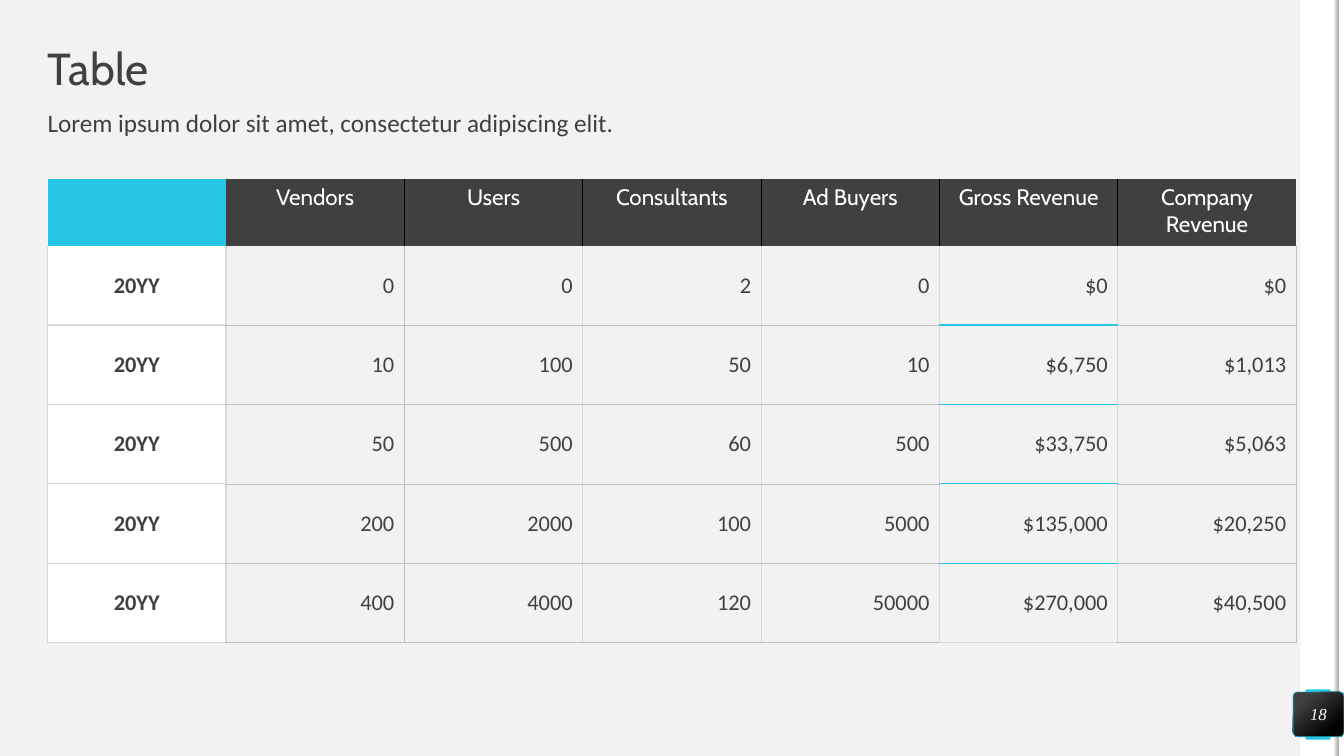
from lxml import etree
from pptx import Presentation
from pptx.dml.color import RGBColor
from pptx.enum.shapes import MSO_SHAPE
from pptx.enum.text import MSO_ANCHOR, PP_ALIGN
from pptx.oxml.ns import qn
from pptx.util import Pt

# Content
TITLE = "Table"
SUBTITLE = "Lorem ipsum dolor sit amet, consectetur adipiscing elit."
PAGE_NUMBER = "18"
ROWS = [
    ["", "Vendors", "Users", "Consultants", "Ad Buyers", "Gross Revenue", "Company Revenue"],
    ["20YY", "0", "0", "2", "0", "$0", "$0"],
    ["20YY", "10", "100", "50", "10", "$6,750", "$1,013"],
    ["20YY", "50", "500", "60", "500", "$33,750", "$5,063"],
    ["20YY", "200", "2000", "100", "5000", "$135,000", "$20,250"],
    ["20YY", "400", "4000", "120", "50000", "$270,000", "$40,500"],
]

# Style
WHITE = RGBColor(0xFF, 0xFF, 0xFF)
BLACK = RGBColor(0x00, 0x00, 0x00)
DARK = RGBColor(0x40, 0x40, 0x40)
PALE = RGBColor(0xF2, 0xF2, 0xF2)
SHADE = RGBColor(0xA6, 0xA6, 0xA6)
CYAN = RGBColor(0x25, 0xC6, 0xE3)
LIGHT_LINE = (RGBColor(0xD9, 0xD9, 0xD9), 1)
THIN_LINE = (RGBColor(0xBF, 0xBF, 0xBF), 0.25)
CYAN_LINE = (CYAN, 1)
BLACK_LINE = (BLACK, 1)
HEAD_FONT, BODY_FONT, NUMBER_FONT = "Cabin", "Calibri", "Times New Roman"
RECT, ROUNDED = MSO_SHAPE.RECTANGLE, MSO_SHAPE.ROUNDED_RECTANGLE
LEFT, CENTER, RIGHT = PP_ALIGN.LEFT, PP_ALIGN.CENTER, PP_ALIGN.RIGHT
TOP, MIDDLE = MSO_ANCHOR.TOP, MSO_ANCHOR.MIDDLE

# Layout in points
PAGE_WIDTH, PAGE_HEIGHT = 960, 540
MARGIN, CONTENT_WIDTH = 34, 892
TABLE_TOP, HEADER_HEIGHT, ROW_HEIGHT = 127.5, 48, 56.7
REVENUE = 5  # column with cyan rules
LAST_ROW, LAST_COLUMN = len(ROWS) - 1, len(ROWS[0]) - 1


def style_paragraph(para, font_name, size, color, align=LEFT, bold=False, italic=False):
    para.alignment = align
    font = para.font
    font.name, font.size, font.bold, font.italic = font_name, Pt(size), bold, italic
    font.color.rgb = color


def clear_margins(frame):
    frame.margin_left = frame.margin_right = frame.margin_top = frame.margin_bottom = 0


def add_text(page, text, top, height, font_name, size, anchor):
    box = page.shapes.add_textbox(Pt(MARGIN), Pt(top), Pt(CONTENT_WIDTH), Pt(height))
    frame = box.text_frame
    frame.word_wrap = True
    frame.vertical_anchor = anchor
    clear_margins(frame)
    para = frame.paragraphs[0]
    para.text = text
    para.line_spacing = 0.9
    style_paragraph(para, font_name, size, DARK)
    return para


def add_block(page, kind, left, top, width, height, color=None, corner=None):
    block = page.shapes.add_shape(kind, Pt(left), Pt(top), Pt(width), Pt(height))
    block.shadow.inherit = False
    block.line.fill.background()
    if color is not None:
        block.fill.solid()
        block.fill.fore_color.rgb = color
    if corner is not None:
        block.adjustments[0] = corner
    return block


def set_gradient(block, angle, stops):
    block.fill.gradient()
    block.fill.gradient_angle = angle
    for stop, (position, color) in zip(block.fill.gradient_stops, stops):
        stop.position = position
        stop.color.rgb = color


def vertical_line(row, edge):
    """Line at a column edge, counted from 0 at the table's left."""
    if row == 0:
        return BLACK_LINE if 2 <= edge <= LAST_COLUMN else None
    return THIN_LINE if edge in (2, LAST_COLUMN + 1) else LIGHT_LINE


def horizontal_line(column, edge):
    """Line at a row edge, counted from 0 at the table's top."""
    if edge < 2:
        return None
    if column == 0:
        return LIGHT_LINE
    if column == REVENUE:
        return CYAN_LINE if edge <= LAST_ROW else LIGHT_LINE
    return THIN_LINE


def set_borders(cell, lines):
    properties = cell._tc.get_or_add_tcPr()
    for side, line in lines.items():
        border = etree.SubElement(properties, qn("a:" + side))
        if line is None:
            etree.SubElement(border, qn("a:noFill"))
            continue
        color, width = line
        border.set("w", str(int(Pt(width))))
        fill = etree.SubElement(border, qn("a:solidFill"))
        etree.SubElement(fill, qn("a:srgbClr")).set("val", str(color))


def cell_fill(row, column):
    if row == 0:
        return CYAN if column == 0 else DARK
    return {0: WHITE, REVENUE: PALE}.get(column)


def fill_cell(cell, row, column):
    set_borders(cell, {
        "lnL": vertical_line(row, column),
        "lnR": vertical_line(row, column + 1),
        "lnT": horizontal_line(column, row),
        "lnB": horizontal_line(column, row + 1),
    })
    color = cell_fill(row, column)
    if color is None:
        cell.fill.background()
    else:
        cell.fill.solid()
        cell.fill.fore_color.rgb = color
    cell.text = ROWS[row][column]
    para = cell.text_frame.paragraphs[0]
    if row == 0:
        cell.vertical_anchor = TOP
        style_paragraph(para, HEAD_FONT, 16, WHITE, CENTER)
    else:
        cell.vertical_anchor = MIDDLE
        label = column == 0
        style_paragraph(para, BODY_FONT, 16, DARK, CENTER if label else RIGHT, bold=label)


def add_data_table(page):
    height = HEADER_HEIGHT + LAST_ROW * ROW_HEIGHT
    table = page.shapes.add_table(len(ROWS), len(ROWS[0]), Pt(MARGIN), Pt(TABLE_TOP),
                                  Pt(CONTENT_WIDTH), Pt(height)).table
    table.first_row = table.horz_banding = False
    for column in table.columns:
        column.width = Pt(CONTENT_WIDTH / len(ROWS[0]))
    for row, table_row in enumerate(table.rows):
        table_row.height = Pt(ROW_HEIGHT if row else HEADER_HEIGHT)
        for column, cell in enumerate(table_row.cells):
            fill_cell(cell, row, column)


def main():
    deck = Presentation()
    deck.slide_width, deck.slide_height = Pt(PAGE_WIDTH), Pt(PAGE_HEIGHT)
    page = deck.slides.add_slide(deck.slide_layouts[6])
    page.background.fill.solid()
    page.background.fill.fore_color.rgb = PALE

    # Side strip with shaded edge
    add_block(page, RECT, 928.8, 0, 28, PAGE_HEIGHT, WHITE)
    add_block(page, ROUNDED, 932.4, 492.4, 18, 36, CYAN, 0.074)
    add_block(page, RECT, 956.4, 0, 3.6, PAGE_HEIGHT, WHITE)
    edge = add_block(page, RECT, 952.8, 0, 3.6, PAGE_HEIGHT)
    set_gradient(edge, 0, [(0, PALE), (1, SHADE)])

    # Headings
    add_text(page, TITLE, 34, 34, HEAD_FONT, 32, MIDDLE)
    subtitle = add_text(page, SUBTITLE, 79.2, 28, BODY_FONT, 18, TOP)
    subtitle.space_before = Pt(10)

    add_data_table(page)

    # Page number badge
    badge = add_block(page, ROUNDED, 923.6, 494.2, 36.4, 32, corner=0.095)
    set_gradient(badge, 310, [(0.2, DARK), (0.82, BLACK)])
    badge.line.color.rgb = CYAN
    badge.line.width = Pt(0.5)
    frame = badge.text_frame
    frame.vertical_anchor = MIDDLE
    clear_margins(frame)
    frame.text = PAGE_NUMBER
    style_paragraph(frame.paragraphs[0], NUMBER_FONT, 12, WHITE, CENTER, italic=True)

    deck.save("out.pptx")


if __name__ == "__main__":
    main()
